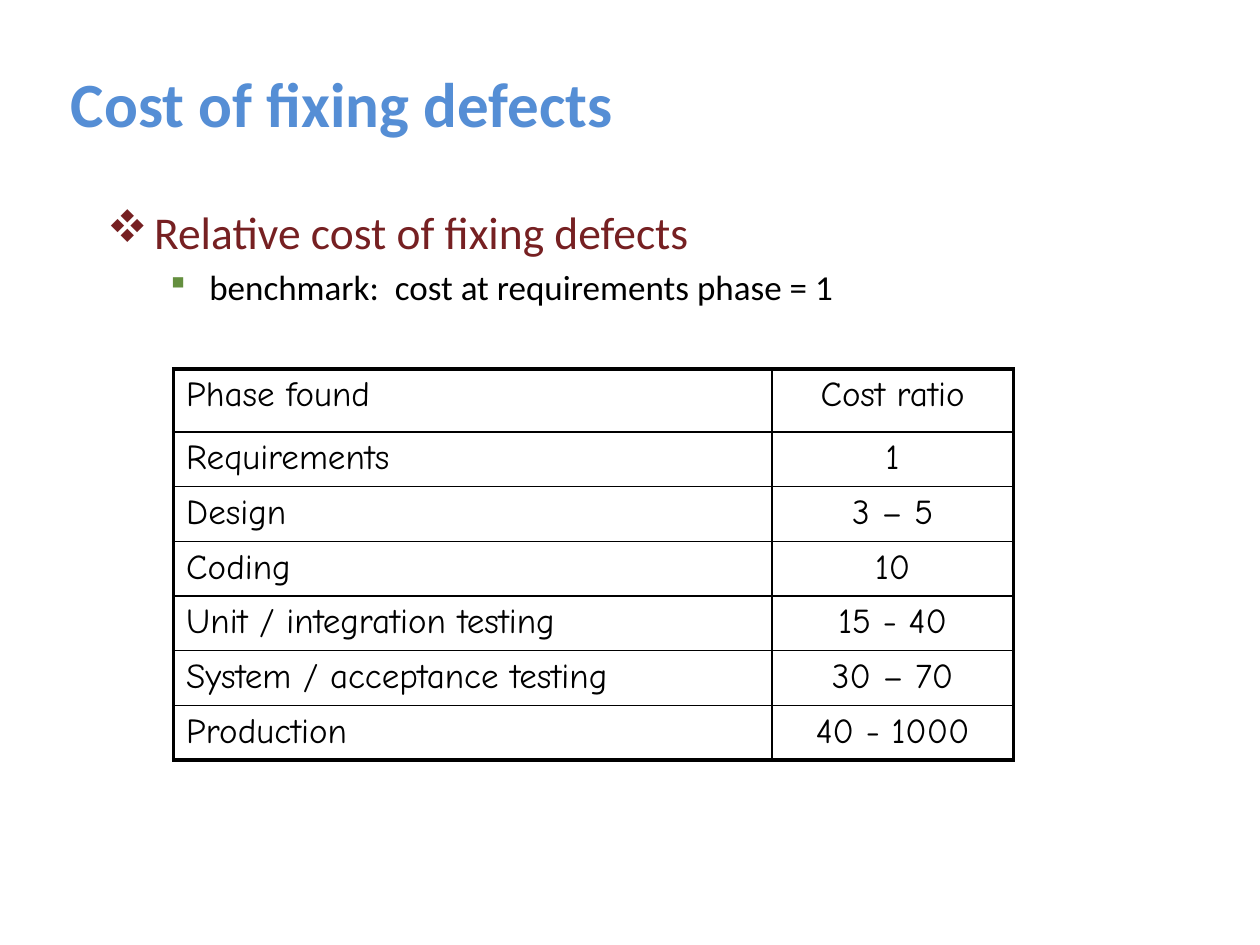
from dataclasses import dataclass

from lxml.etree import SubElement
from pptx import Presentation
from pptx.dml.color import RGBColor as RGB
from pptx.enum.shapes import MSO_SHAPE as Shape
from pptx.enum.text import MSO_ANCHOR as Anchor, PP_ALIGN as Align
from pptx.oxml import parse_xml
from pptx.oxml.ns import nsdecls, qn
from pptx.util import Cm, Pt


@dataclass(frozen=True)
class Theme:
    body_font: str = "Calibri"
    table_font: str = "Comic Neue"
    bullet_font: str = "Wingdings"
    backdrop: str = "C0C0C0"
    paper: str = "FFFFFF"
    title: str = "558ED5"
    heading: str = "762022"
    bullet: str = "648F3F"
    ink: str = "000000"
    title_size: float = 36
    heading_size: float = 26
    text_size: float = 20
    outer_line: float = 2.25
    inner_line: float = 1


class SlideBuilder:
    def __init__(self, slide, theme):
        self.s, self.theme = slide, theme
        self.paint(slide.background.fill, theme.backdrop)

    def paint(self, fill, color):
        fill.solid()
        fill.fore_color.rgb = RGB.from_string(color)

    def panel(self, left, top, width, height):
        sp = self.s.shapes.add_shape(
            Shape.RECTANGLE, Cm(left), Cm(top), Cm(width), Cm(height))
        sp.shadow.inherit = False
        self.paint(sp.fill, self.theme.paper)
        sp.line.fill.background()

    def run(self, p, text, size, color, font, bold=False):
        r = p.add_run()
        r.text = text
        r.font.name, r.font.size, r.font.bold = font, Pt(size), bold
        r.font.color.rgb = RGB.from_string(color)

    def text_box(self, left, top, width, height, anchor=Anchor.TOP):
        tf = self.s.shapes.add_textbox(Cm(left), Cm(top), Cm(width), Cm(height)).text_frame
        tf.word_wrap = True
        tf.vertical_anchor = anchor
        return tf

    def title(self, text, *box):
        t = self.theme
        tf = self.text_box(*box, anchor=Anchor.MIDDLE)
        self.run(tf.paragraphs[0], text, t.title_size, t.title, t.body_font, bold=True)

    def bullets(self, items, *box):
        """Each item: text, size, colour, bullet, bullet colour, margin, hanging indent."""
        tf = self.text_box(*box)
        for i, (text, size, color, char, char_color, margin, hang) in enumerate(items):
            p = tf.add_paragraph() if i else tf.paragraphs[0]
            p.level = i
            p.space_before = Pt(round(size * 0.2))
            pPr = p._p.get_or_add_pPr()
            pPr.set("marL", str(Cm(margin)))
            pPr.set("indent", str(-Cm(hang)))
            SubElement(SubElement(pPr, qn("a:buClr")), qn("a:srgbClr"), val=char_color)
            SubElement(pPr, qn("a:buFont"), typeface=self.theme.bullet_font,
                       pitchFamily="2", charset="2")
            SubElement(pPr, qn("a:buChar"), char=char)
            self.run(p, text, size, color, self.theme.body_font)

    def borders(self, cell, widths):
        tcPr = cell._tc.get_or_add_tcPr()
        for i, (side, width) in enumerate(zip("LRTB", widths)):
            tcPr.insert(i, parse_xml(
                f'<a:ln{side} {nsdecls("a")} w="{Pt(width)}"><a:solidFill>'
                f'<a:srgbClr val="{self.theme.ink}"/></a:solidFill></a:ln{side}>'))

    def table(self, rows, left, top, col_widths, row_heights):
        t = self.theme
        n_rows, n_cols = len(rows), len(col_widths)
        table = self.s.shapes.add_table(
            n_rows, n_cols, Cm(left), Cm(top),
            Cm(sum(col_widths)), Cm(sum(row_heights))).table
        table.first_row = table.horz_banding = False
        for col, width in zip(table.columns, col_widths):
            col.width = Cm(width)
        for i, (values, height) in enumerate(zip(rows, row_heights)):
            table.rows[i].height = Cm(height)
            for j, value in enumerate(values):
                cell = table.cell(i, j)
                cell.fill.background()
                # Heavy frame outside, thin rules inside
                edges = (j == 0, j == n_cols - 1, i == 0, i == n_rows - 1)
                self.borders(cell, [t.outer_line if e else t.inner_line for e in edges])
                p = cell.text_frame.paragraphs[0]
                p.alignment = Align.CENTER if j else Align.LEFT
                self.run(p, value, t.text_size, t.ink, t.table_font)


def main():
    theme = Theme()
    prs = Presentation()
    prs.slide_width, prs.slide_height = Cm(25.4), Cm(19.05)
    b = SlideBuilder(prs.slides.add_slide(prs.slide_layouts[6]), theme)

    # White header and body panels
    b.panel(0, 0, 25.4, 2.96)
    b.panel(0, 2.75, 25.4, 16.3)

    # Title
    b.title("Cost of fixing defects", 1.18, 0.86, 21.59, 2.41)

    # Bulleted text; the bullet font draws "v" as ❖ and "§" as ▪
    b.bullets([
        ("Relative cost of fixing defects", theme.heading_size, theme.heading,
         "v", theme.heading, 0.95, 0.95),
        ("benchmark:  cost at requirements phase = 1", theme.text_size, theme.ink,
         "§", theme.bullet, 2.06, 0.79),
    ], 1.91, 3.99, 21.59, 6.68)

    # Cost table
    rows = [
        ("Phase found", "Cost ratio"),
        ("Requirements", "1"),
        ("Design", "3 – 5"),
        ("Coding", "10"),
        ("Unit / integration testing", "15 - 40"),
        ("System / acceptance testing", "30 – 70"),
        ("Production", "40 - 1000"),
    ]
    b.table(rows, 3.5, 7.44, [12.06, 4.87], [1.27] + [1.1] * (len(rows) - 1))

    prs.save("out.pptx")


if __name__ == "__main__":
    main()
